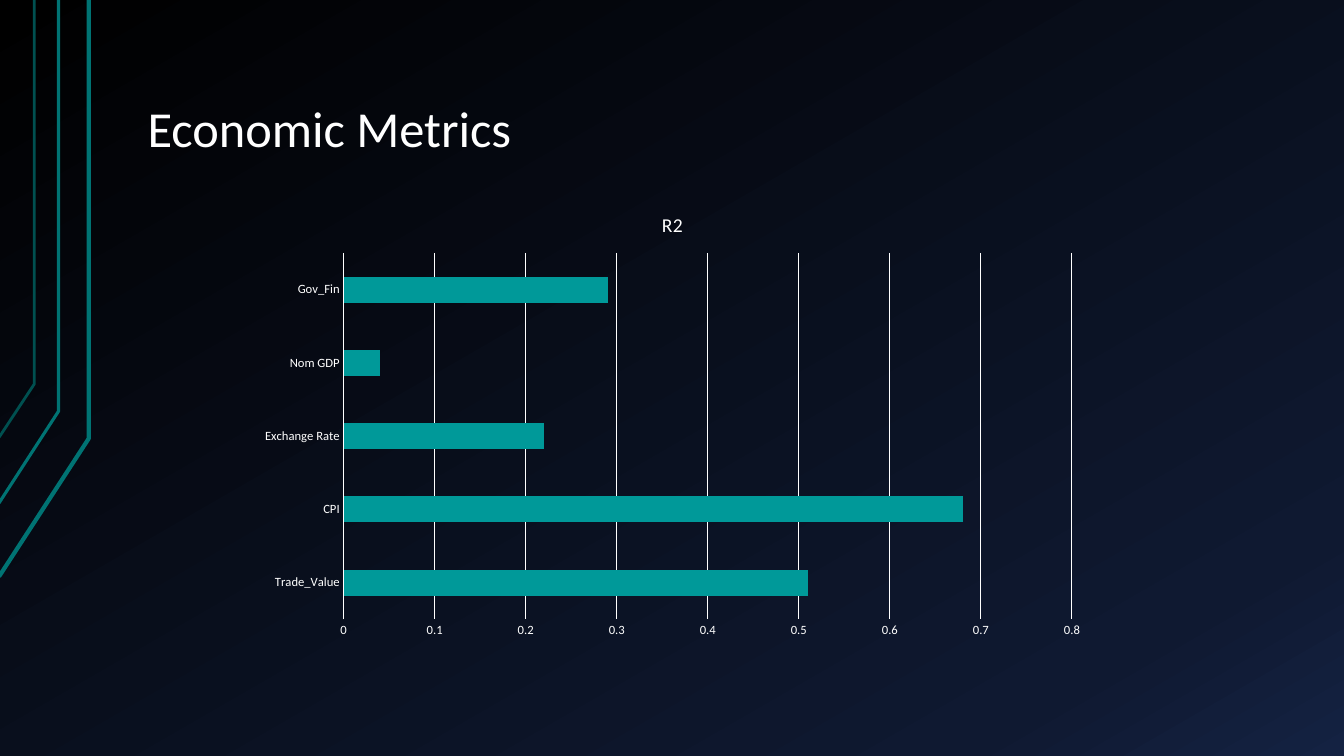
from copy import deepcopy

from pptx import Presentation
from pptx.chart.data import CategoryChartData
from pptx.dml.color import RGBColor
from pptx.enum.chart import XL_CHART_TYPE as ChartType, XL_TICK_MARK as TickMark
from pptx.enum.text import MSO_ANCHOR as Anchor
from pptx.oxml.ns import qn
from pptx.util import Inches, Pt

WIDTH, HEIGHT = 13.33, 7.5
FONT = "Calibri"
WHITE = RGBColor(0xFF, 0xFF, 0xFF)
TEAL = RGBColor(0x00, 0x99, 0x99)
LINE_TEAL = RGBColor(0x00, 0x73, 0x73)
DIM_TEAL = RGBColor(0x00, 0x50, 0x50)
GRADIENT = [(0, RGBColor(0x00, 0x00, 0x00)),
            (0.85, RGBColor(0x0F, 0x19, 0x31)),
            (1, RGBColor(0x14, 0x22, 0x42))]

# Bend x, bend y, foot y (inches), line width (points), colour
BENT_LINES = [(0.88, 4.35, 5.72, 3, LINE_TEAL),
              (0.58, 4.08, 4.99, 2.25, LINE_TEAL),
              (0.34, 3.81, 4.34, 2, DIM_TEAL)]
METRICS = {"Trade_Value": 0.51, "CPI": 0.68, "Exchange Rate": 0.22,
           "Nom GDP": 0.04, "Gov_Fin": 0.29}


def set_attributes(target, values):
    for name, value in values.items():
        setattr(target, name, value)


def style_font(font, size):
    set_attributes(font, {"name": FONT, "size": Pt(size), "bold": False})
    font.color.rgb = WHITE


def style_line(line, color, width):
    line.color.rgb = color
    line.width = Pt(width)


def paint_background(slide):
    fill = slide.background.fill
    fill.gradient()
    fill.gradient_angle = 300
    # A new gradient has two stops; the third is a copy of the last
    stop_list = slide.element.find(".//" + qn("a:gsLst"))
    stop_list.append(deepcopy(stop_list[-1]))
    for stop, (position, color) in zip(fill.gradient_stops, GRADIENT):
        stop.position = position
        stop.color.rgb = color


def add_bent_lines(slide, left, top):
    for bend_x, bend_y, foot_y, width, color in BENT_LINES:
        corners = [(-0.01, foot_y), (bend_x, bend_y), (bend_x, 0)]
        foot, *rest = [(Inches(left + x), Inches(top + y)) for x, y in corners]
        builder = slide.shapes.build_freeform(*foot)
        builder.add_line_segments(rest, close=False)
        shape = builder.convert_to_shape()
        shape.shadow.inherit = False
        shape.fill.background()
        style_line(shape.line, color, width)


def add_title(slide, left, top, width, height):
    box = slide.shapes.add_textbox(*map(Inches, (left, top, width, height)))
    frame = box.text_frame
    set_attributes(frame, {
        "word_wrap": True, "vertical_anchor": Anchor.BOTTOM,
        "margin_left": Inches(0.13), "margin_right": Inches(0.13),
        "margin_top": Inches(0.07), "margin_bottom": Inches(0.07)})
    paragraph = frame.paragraphs[0]
    paragraph.line_spacing = 0.9
    run = paragraph.add_run()
    run.text = "Economic Metrics"
    style_font(run.font, 36)


def add_metrics_chart(slide, left, top, width, height):
    data = CategoryChartData()
    data.categories = list(METRICS)
    data.add_series("R2", list(METRICS.values()))
    chart = slide.shapes.add_chart(
        ChartType.BAR_CLUSTERED,
        *map(Inches, (left, top, width, height)), data).chart
    style_font(chart.font, 10)
    chart.has_legend = False

    # Chart title
    chart.has_title = True
    chart.chart_title.include_in_layout = False
    paragraph = chart.chart_title.text_frame.paragraphs[0]
    run = paragraph.add_run()
    run.text = "R2"
    style_font(run.font, 14)

    # Bars
    plot = chart.plots[0]
    set_attributes(plot, {"gap_width": 182, "vary_by_categories": False})
    fill = plot.series[0].format.fill
    fill.solid()
    fill.fore_color.rgb = TEAL

    # Axes and gridlines
    category_axis, value_axis = chart.category_axis, chart.value_axis
    for axis in (category_axis, value_axis):
        set_attributes(axis, {"major_tick_mark": TickMark.NONE,
                              "minor_tick_mark": TickMark.NONE})
        style_font(axis.tick_labels.font, 9)
    set_attributes(value_axis, {"minimum_scale": 0, "maximum_scale": 0.8,
                                "major_unit": 0.1})
    style_line(category_axis.format.line, WHITE, 0.75)
    style_line(value_axis.major_gridlines.format.line, WHITE, 0.75)
    value_axis.format.line.fill.background()


def main():
    presentation = Presentation()
    set_attributes(presentation, {"slide_width": Inches(WIDTH),
                                  "slide_height": Inches(HEIGHT)})
    slide = presentation.slides.add_slide(presentation.slide_layouts[6])
    paint_background(slide)
    add_bent_lines(slide, 0, 0)
    add_title(slide, 0.1 * WIDTH, 0.04 * HEIGHT, 0.85 * WIDTH, 1.34)
    add_metrics_chart(slide, 2.46, 1.92, 8.42, 0.6 * HEIGHT)
    presentation.save("out.pptx")


if __name__ == "__main__":
    main()
